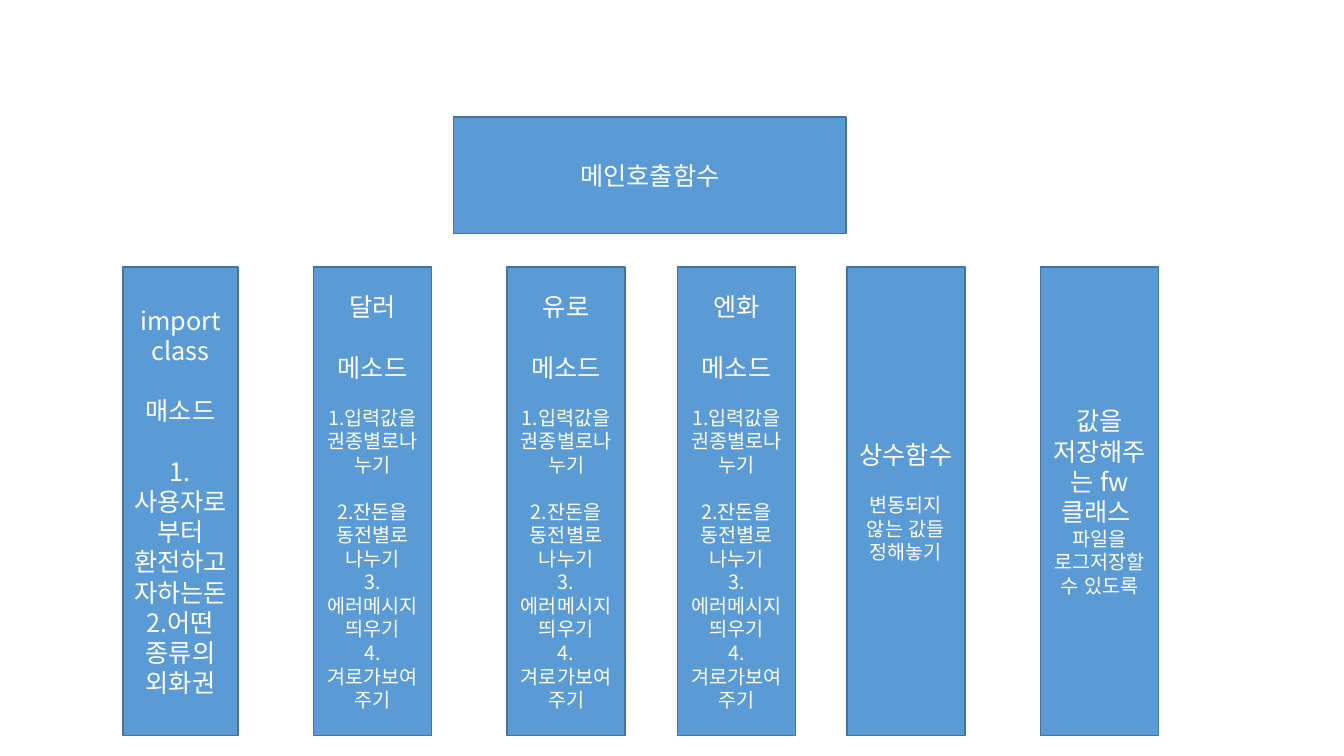
from lxml import etree
from pptx import Presentation
from pptx.dml.color import RGBColor
from pptx.enum.lang import MSO_LANGUAGE_ID as Language
from pptx.enum.shapes import MSO_SHAPE as Shape
from pptx.enum.text import MSO_ANCHOR as Anchor, PP_ALIGN as Align
from pptx.oxml.ns import qn
from pptx.util import Inches, Pt

BLUE = RGBColor(0x5B, 0x9B, 0xD5)
EDGE = RGBColor(0x43, 0x73, 0x9E)
WHITE = RGBColor(0xFF, 0xFF, 0xFF)
FONT = "Noto Sans CJK KR"
BIG, SMALL = 18, 14
BIG_GAP, SMALL_GAP = 21.5, 16.8  # one line of each size, in points

# Content: each line is (text, size, space before)
MAIN = [("메인호출함수", BIG, 0)]
IMPORT = [
    ("import class", BIG, 0),
    ("매소드", BIG, BIG_GAP),
    ("1.사용자로부터 환전하고자하는돈", BIG, BIG_GAP),
    ("2.어떤 종류의 외화권", BIG, 0),
]
CURRENCY_STEPS = [
    ("메소드", BIG, BIG_GAP),
    ("1.입력값을 권종별로나누기", SMALL, SMALL_GAP),
    ("2.잔돈을 동전별로 나누기", SMALL, SMALL_GAP),
    ("3. 에러메시지 띄우기", SMALL, 0),
    ("4.겨로가보여주기", SMALL, 0),
]
CONSTANTS = [
    ("상수함수", BIG, 0),
    ("변동되지 않는 값들 정해놓기", SMALL, SMALL_GAP),
]
SAVING = [
    ("값을 저장해주는 fw클래스 ", BIG, 0),
    ("파일을 로그저장할수 있도록", SMALL, 0),
]
CURRENCIES = [("달러", 3.11), ("유로", 5.03), ("엔화", 6.72)]

# Columns: (left, width, lines)
COLUMN_TOP, COLUMN_WIDTH, COLUMN_HEIGHT = 2.65, 1.17, 4.65
COLUMNS = [
    (1.22, 1.14, IMPORT),
    *((left, COLUMN_WIDTH, [(name, BIG, 0), *CURRENCY_STEPS])
      for name, left in CURRENCIES),
    (8.4, COLUMN_WIDTH, CONSTANTS),
    (10.32, COLUMN_WIDTH, SAVING),
]


def write(para, text, size=BIG, before=0, color=WHITE, font=FONT):
    para.alignment = Align.CENTER
    para.space_before = Pt(before)
    span = para.add_run()
    span.text = text
    span.font.size = Pt(size)
    span.font.name = font
    span.font.color.rgb = color
    span.font.language_id = Language.KOREAN
    # East Asian letters take their own font entry
    east = etree.SubElement(span.font._element, qn("a:ea"))
    east.set("typeface", font)


def add_box(page, left, top, width, height, lines):
    box = page.shapes.add_shape(
        Shape.RECTANGLE, *(Inches(n) for n in (left, top, width, height)))
    box.shadow.inherit = False
    box.fill.solid()
    box.fill.fore_color.rgb = BLUE
    box.line.color.rgb = EDGE
    box.line.width = Pt(1)
    frame = box.text_frame
    frame.word_wrap = True
    frame.vertical_anchor = Anchor.MIDDLE
    for index, (text, size, before) in enumerate(lines):
        para = frame.add_paragraph() if index else frame.paragraphs[0]
        write(para, text, size=size, before=before)


def main():
    deck = Presentation()
    deck.slide_width, deck.slide_height = Inches(13.33), Inches(7.5)
    page = deck.slides.add_slide(deck.slide_layouts[6])

    # Calling function above, its parts below
    add_box(page, 4.5, 1.16, 3.89, 1.16, MAIN)
    for left, width, lines in COLUMNS:
        add_box(page, left, COLUMN_TOP, width, COLUMN_HEIGHT, lines)

    deck.save("out.pptx")


if __name__ == "__main__":
    main()
